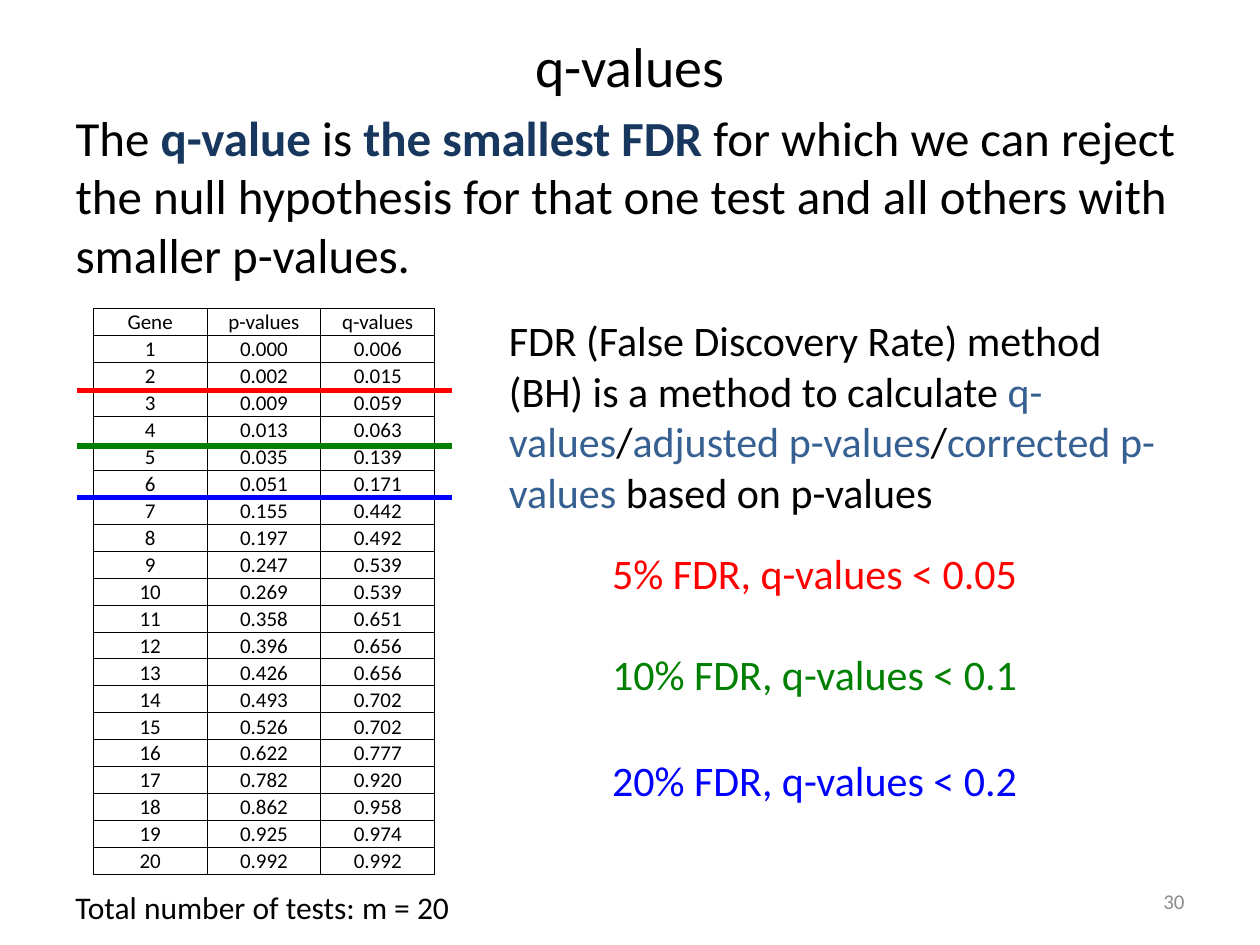
from lxml import etree
from pptx import Presentation
from pptx.dml.color import RGBColor
from pptx.enum.shapes import MSO_CONNECTOR
from pptx.enum.text import MSO_ANCHOR, MSO_AUTO_SIZE, PP_ALIGN
from pptx.oxml.ns import qn
from pptx.util import Inches, Pt

STRAIGHT = MSO_CONNECTOR.STRAIGHT
TOP, MIDDLE, BOTTOM = MSO_ANCHOR.TOP, MSO_ANCHOR.MIDDLE, MSO_ANCHOR.BOTTOM
LEFT, CENTER, RIGHT = PP_ALIGN.LEFT, PP_ALIGN.CENTER, PP_ALIGN.RIGHT
NO_AUTOFIT = MSO_AUTO_SIZE.NONE

FONT = "Calibri"
COLORS = {
    "text": "000000",
    "key": "17375E",
    "term": "376092",
    "number": "8C8C8C",
    "red": "FF0000",
    "green": "008000",
    "blue": "0000FF",
}

P_VALUES = """0.000 0.002 0.009 0.013 0.035 0.051 0.155 0.197 0.247 0.269
0.358 0.396 0.426 0.493 0.526 0.622 0.782 0.862 0.925 0.992""".split()
Q_VALUES = """0.006 0.015 0.059 0.063 0.139 0.171 0.442 0.492 0.539 0.539
0.651 0.656 0.656 0.702 0.702 0.777 0.920 0.958 0.974 0.992""".split()

DEFINITION = [
    ("The ", "text"),
    ("q-value ", "key"),
    ("is ", "text"),
    ("the smallest FDR ", "key"),
    ("for which we can reject the null hypothesis for that one test "
     "and all others with smaller p-values.", "text"),
]
METHOD = [
    ("FDR (False Discovery Rate) method (BH) is a method to calculate ", "text"),
    ("q-values", "term"),
    ("/", "text"),
    ("adjusted p-values", "term"),
    ("/", "text"),
    ("corrected p-values", "term"),
    (" based on p-values", "text"),
]
CUTOFFS = [
    ("5% FDR, q-values < 0.05", "red", 3.1, 4.22),
    ("10% FDR, q-values < 0.1", "green", 3.54, 5.02),
    ("20% FDR, q-values < 0.2", "blue", 3.95, 5.86),
]


def write_runs(paragraph, pieces, size, align=LEFT):
    paragraph.alignment = align
    paragraph.space_before = Pt(0)
    for words, color in pieces:
        run = paragraph.add_run()
        run.text = words
        run.font.name = FONT
        run.font.size = Pt(size)
        run.font.bold = color == "key"
        run.font.color.rgb = RGBColor.from_string(COLORS[color])


def fill_placeholder(holder, box, pieces, size, align, anchor):
    holder.left, holder.top, holder.width, holder.height = map(Inches, box)
    frame = holder.text_frame
    frame.auto_size = NO_AUTOFIT
    frame.vertical_anchor = anchor
    paragraph = frame.paragraphs[0]
    properties = paragraph._p.get_or_add_pPr()
    properties.set("marL", "0")
    properties.set("indent", "0")
    etree.SubElement(properties, qn("a:buNone"))
    write_runs(paragraph, pieces, size, align)


def add_label(slide, box, pieces, size, align=LEFT, anchor=TOP, spacing=1.0, wrap=True):
    frame = slide.shapes.add_textbox(*map(Inches, box)).text_frame
    frame.word_wrap = wrap
    frame.vertical_anchor = anchor
    frame.paragraphs[0].line_spacing = spacing
    write_runs(frame.paragraphs[0], pieces, size, align)


def add_borders(cell):
    properties = cell._tc.get_or_add_tcPr()
    for position, side in enumerate(("a:lnL", "a:lnR", "a:lnT", "a:lnB")):
        border = etree.Element(qn(side), w=str(Pt(0.5)))
        fill = etree.SubElement(border, qn("a:solidFill"))
        etree.SubElement(fill, qn("a:srgbClr"), val=COLORS["text"])
        properties.insert(position, border)


def add_gene_table(slide):
    genes = [str(number) for number in range(1, len(P_VALUES) + 1)]
    rows = [("Gene", "p-values", "q-values"), *zip(genes, P_VALUES, Q_VALUES)]
    width, height = Inches(2.71), Inches(4.49)
    table = slide.shapes.add_table(
        len(rows), 3, Inches(0.74), Inches(2.45), width, height).table
    table.first_row = False
    table.horz_banding = False
    for column in table.columns:
        column.width = width // 3
    for table_row, values in zip(table.rows, rows):
        table_row.height = height // len(rows)
        for cell, value in zip(table_row.cells, values):
            cell.margin_left = cell.margin_right = cell.margin_top = Inches(0.01)
            cell.margin_bottom = 0
            cell.vertical_anchor = BOTTOM
            cell.fill.background()
            add_borders(cell)
            write_runs(cell.text_frame.paragraphs[0], [(value, "text")], 12, CENTER)


def add_cutoff(slide, words, color, line_y, label_top):
    line = slide.shapes.add_connector(
        STRAIGHT, Inches(0.61), Inches(line_y), Inches(3.59), Inches(line_y))
    line.line.color.rgb = RGBColor.from_string(COLORS[color])
    line.line.width = Pt(3)
    etree.SubElement(line._element.spPr, qn("a:effectLst"))
    add_label(slide, (4.76, label_top, 3.6, 0.57), [(words, color)], 24, spacing=1.2)


def main():
    deck = Presentation()
    deck.slide_width, deck.slide_height = Inches(10), Inches(7.5)
    slide = deck.slides.add_slide(deck.slide_layouts[1])
    fill_placeholder(slide.shapes.title, (0.5, 0.21, 9, 0.62),
                     [("q-values", "text")], 32, CENTER, MIDDLE)
    fill_placeholder(slide.placeholders[1], (0.5, 0.8, 9.17, 1.48),
                     DEFINITION, 28, LEFT, TOP)
    add_gene_table(slide)
    add_label(slide, (0.5, 7, 3.23, 0.4),
              [("Total number of tests: m = 20", "text")], 18, wrap=False)
    for cutoff in CUTOFFS:
        add_cutoff(slide, *cutoff)
    add_label(slide, (3.94, 2.45, 5.56, 1.72), METHOD, 24)
    add_label(slide, (7.17, 6.95, 2.33, 0.4), [("30", "number")], 12, RIGHT, MIDDLE)
    deck.save("out.pptx")


if __name__ == "__main__":
    main()
